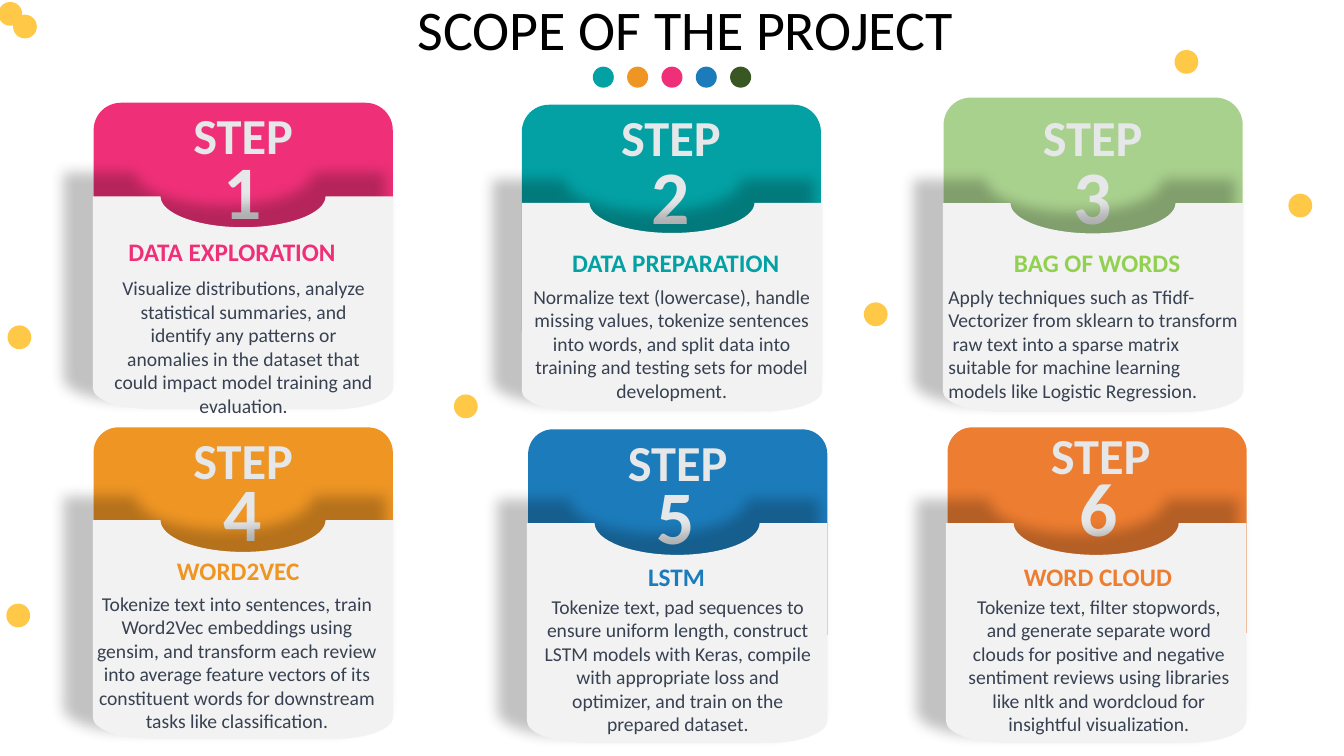
from lxml.etree import SubElement
from pptx import Presentation
from pptx.dml.color import RGBColor
from pptx.enum.shapes import MSO_SHAPE as Shape
from pptx.enum.text import MSO_ANCHOR as Anchor, PP_ALIGN as Align
from pptx.oxml.ns import qn
from pptx.util import Cm, Pt

COLORS = {
    "pink": "EF3078", "teal": "03A1A4", "sage": "A9D18E", "lime": "92D050",
    "amber": "EE9524", "blue": "1C7CBB", "orange": "ED7D31", "forest": "385723",
    "yellow": "FFC947", "panel": "F2F2F2", "label": "E6E7E9", "body": "374151",
    "title": "000000", "shadow": "000000",
}
FORMATS = {
    "title": {"size": Pt(40), "bold": False},
    "step": {"size": Pt(36), "bold": True},
    "number": {"size": Pt(54), "bold": True},
    "heading": {"size": Pt(18), "bold": True},
    "body": {"size": Pt(14), "bold": False},
}
HEADER_WIDTH = 7.54
PANEL_WIDTH = 7.57
ROUNDING = 0.45
CURVE_STARTS = [1, 4, 9, 13]

cards = [
    {"header": (2.36, 2.59, 5.72), "step": (1.85, 2.51), "number": (3.99, 3.51),
     "panel": (2.34, 4.95, 5.36), "heading": (2.46, 5.82, 6.78), "body": (2.48, 6.83, 7.32),
     "color": "pink", "title": "DATA EXPLORATION",
     "text": ["Visualize distributions, analyze statistical summaries, and identify any patterns "
              "or anomalies in the dataset that could impact model training and evaluation."]},
    {"header": (13.15, 2.64, 5.72), "step": (12.63, 2.54), "number": (14.78, 3.63),
     "panel": (13.15, 5.11, 5.26), "heading": (12.8, 6.12, 8.46), "body": (13.03, 7.05, 7.8),
     "color": "teal", "title": "DATA PREPARATION",
     "text": ["Normalize text (lowercase), handle missing values, tokenize sentences into words, "
              "and split data into training and testing sets for model development."]},
    {"header": (23.78, 2.46, 5.72), "step": (23.26, 2.54), "number": (25.41, 3.64),
     "panel": (23.76, 5.12, 5.26), "heading": (23.42, 6.12, 8.46), "body": (23.65, 7.05, 7.85),
     "color": "sage", "title_color": "lime", "align": Align.LEFT, "title": "BAG OF WORDS",
     "text": ["Apply techniques such as Tfidf- Vectorizer from sklearn to transform",
              " raw text into a sparse matrix suitable for machine learning models like "
              "Logistic Regression."]},
    {"header": (2.36, 10.77, 5.18), "step": (1.85, 10.69), "number": (4.0, 11.61),
     "panel": (2.34, 13.11, 5.51), "heading": (2.21, 13.87, 7.59), "body": (2.05, 14.78, 7.85),
     "color": "amber", "title": "WORD2VEC",
     "text": ["Tokenize text into sentences, train Word2Vec embeddings using gensim, and transform "
              "each review into average feature vectors of its constituent words for downstream "
              "tasks like classification."]},
    {"header": (13.31, 10.82, 5.18), "step": (12.8, 10.74), "number": (14.91, 11.68),
     "panel": (13.28, 13.18, 5.54), "heading": (12.86, 14.02, 8.38), "body": (13.34, 14.86, 7.49),
     "color": "blue", "title": "LSTM",
     "text": ["Tokenize text, pad sequences to ensure uniform length, construct LSTM models with "
              "Keras, compile with appropriate loss and optimizer, and train on the prepared "
              "dataset."]},
    {"header": (23.88, 10.77, 5.18), "step": (23.46, 10.57), "number": (25.58, 11.48),
     "panel": (23.84, 13.18, 5.54), "heading": (23.48, 14.02, 8.38), "body": (23.95, 14.86, 7.49),
     "color": "orange", "title": "WORD CLOUD",
     "text": ["Tokenize text, filter stopwords, and generate separate word clouds for positive and "
              "negative sentiment reviews using libraries like nltk and wordcloud for insightful "
              "visualization."]},
]

presentation = Presentation()
presentation.slide_width = Cm(33.87)
presentation.slide_height = Cm(19.05)
slide = presentation.slides.add_slide(presentation.slide_layouts[5])
shapes = slide.shapes


def write(shape, lines, style, color, align=Align.CENTER):
    frame = shape.text_frame
    frame.word_wrap = True
    frame.text = "\n".join(lines)
    for paragraph in frame.paragraphs:
        paragraph.alignment = align
        font = paragraph.runs[0].font
        font.name = "Calibri"
        font.color.rgb = RGBColor.from_string(COLORS[color])
        for name, value in FORMATS[style].items():
            setattr(font, name, value)


def paint(shape, color):
    shape.shadow.inherit = False
    shape.fill.solid()
    shape.fill.fore_color.rgb = RGBColor.from_string(COLORS[color])
    shape.line.fill.background()


title = shapes.title
title.left, title.top, title.width, title.height = Cm(7.16), Cm(-0.27), Cm(20.22), Cm(1.96)
title.text_frame.vertical_anchor = Anchor.MIDDLE
write(title, ["SCOPE OF THE PROJECT"], "title", "title")

for index, color in enumerate(["teal", "amber", "pink", "blue", "forest"]):
    dot = shapes.add_shape(Shape.OVAL, Cm(14.94 + 0.865 * index), Cm(1.68), Cm(0.53), Cm(0.53))
    paint(dot, color)

for x, y in [(0.26, 0.35), (0.63, 0.67), (0.46, 15.51), (0.49, 8.5),
             (29.9, 1.56), (32.77, 5.18), (22.07, 7.92), (11.74, 10.24)]:
    dot = shapes.add_shape(Shape.OVAL, Cm(x - 0.3), Cm(y - 0.3), Cm(0.6), Cm(0.6))
    paint(dot, "yellow")

for number, card in enumerate(cards, start=1):
    left, top, height = card["header"]
    header = shapes.add_shape(Shape.ROUND_2_SAME_RECTANGLE,
                              Cm(left), Cm(top), Cm(HEADER_WIDTH), Cm(height))
    header.adjustments[0] = 0.12
    paint(header, card["color"])

    for style, label, width, height in [("step", "STEP", 8.56, 1.8),
                                        ("number", str(number), 4.24, 2.57)]:
        left, top = card[style]
        box = shapes.add_textbox(Cm(left), Cm(top), Cm(width), Cm(height))
        write(box, [label], style, "label")

    left, top, height = card["panel"]
    right, bottom, middle = left + PANEL_WIDTH, top + height, left + PANEL_WIDTH / 2
    notch_x, notch_y = 2.08, 0.145 * height
    corner_x, corner_y = 1.49, 0.1 * height
    outline = [
        (middle - notch_x, top),
        (middle - notch_x, top + notch_y * (1 - ROUNDING)),
        (middle - notch_x * (1 - ROUNDING), top + notch_y),
        (middle, top + notch_y),
        (middle + notch_x * (1 - ROUNDING), top + notch_y),
        (middle + notch_x, top + notch_y * (1 - ROUNDING)),
        (middle + notch_x, top),
        (right, top),
        (right, bottom - corner_y),
        (right, bottom - corner_y * ROUNDING),
        (right - corner_x * ROUNDING, bottom),
        (right - corner_x, bottom),
        (left + corner_x, bottom),
        (left + corner_x * ROUNDING, bottom),
        (left, bottom - corner_y * ROUNDING),
        (left, bottom - corner_y),
    ]
    builder = shapes.build_freeform(Cm(left), Cm(top))
    builder.add_line_segments([(Cm(x), Cm(y)) for x, y in outline], close=True)
    panel = builder.convert_to_shape()
    paint(panel, "panel")
    segments = list(panel._element.iter(qn("a:lnTo")))
    for start in CURVE_STARTS:
        curve = segments[start]
        curve.tag = qn("a:cubicBezTo")
        for segment in segments[start + 1:start + 3]:
            curve.append(segment[0])
            segment.getparent().remove(segment)
    effects = panel._element.spPr.find(qn("a:effectLst"))
    shadow = SubElement(effects, qn("a:outerShdw"), blurRad=str(Pt(10)), dist=str(Cm(0.63)),
                        dir="13200000", sx="107000", sy="107000", algn="ctr", rotWithShape="0")
    shade = SubElement(shadow, qn("a:srgbClr"), val=COLORS["shadow"])
    SubElement(shade, qn("a:alpha"), val="23000")

    left, top, width = card["heading"]
    heading = shapes.add_textbox(Cm(left), Cm(top), Cm(width), Cm(1.02))
    write(heading, [card["title"]], "heading", card.get("title_color", card["color"]))
    left, top, width = card["body"]
    body = shapes.add_textbox(Cm(left), Cm(top), Cm(width), Cm(3.25 if number <= 3 else 3.84))
    write(body, card["text"], "body", "body", card.get("align", Align.CENTER))

presentation.save("out.pptx")
